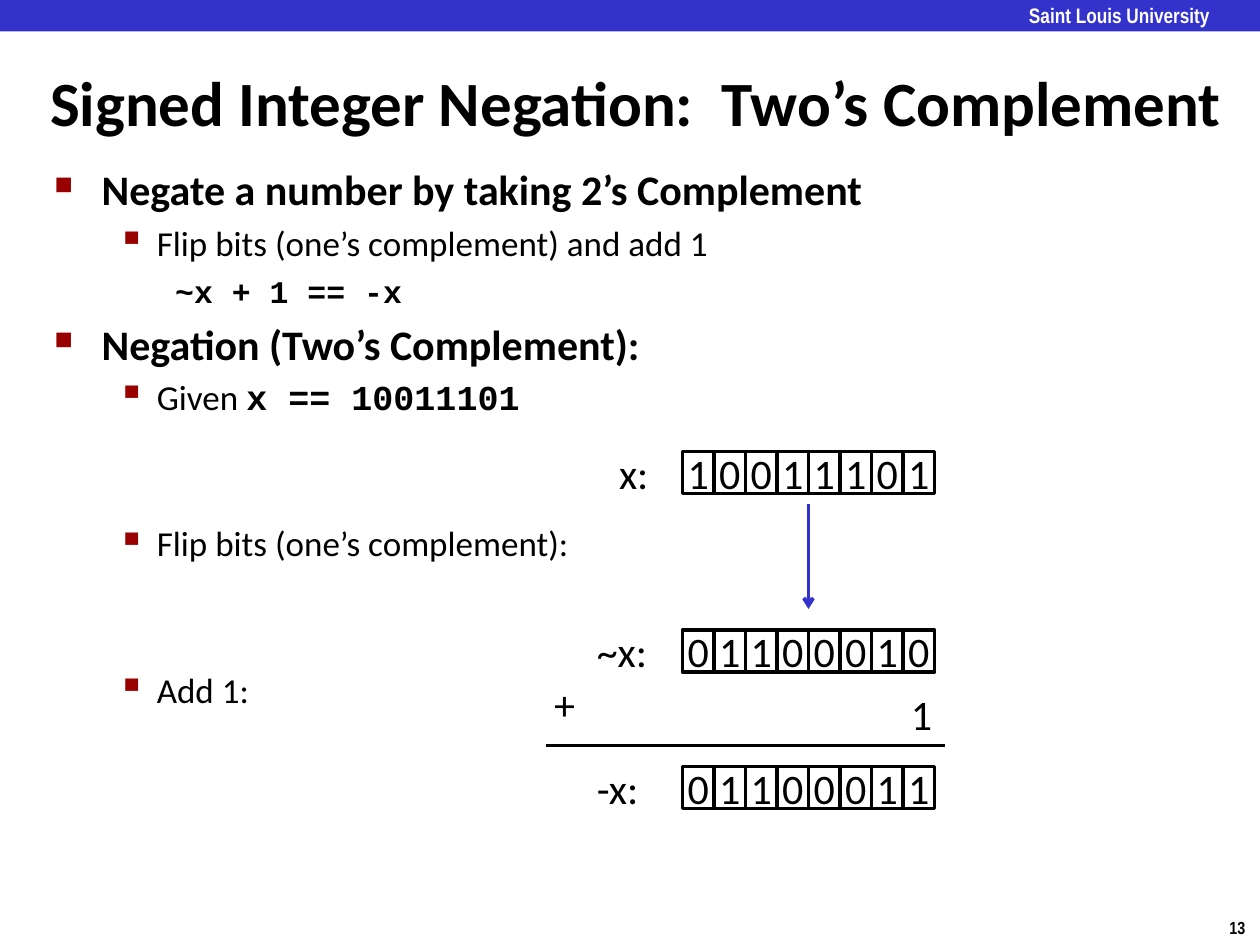
from dataclasses import dataclass

from lxml.etree import SubElement
from pptx import Presentation
from pptx.dml.color import RGBColor
from pptx.enum.shapes import MSO_CONNECTOR, MSO_SHAPE
from pptx.enum.text import MSO_ANCHOR, PP_ALIGN
from pptx.oxml.ns import qn
from pptx.util import Pt

BLACK, WHITE, BLUE, RED = "000000", "FFFFFF", "3333CC", "990000"
SANS, MONO, NARROW = "Calibri", "Courier New", "Arial Narrow"
CELL_LEFT, CELL_W, CELL_H = 390, 18, 24


@dataclass(frozen=True)
class Run:
    """A piece of text with one look."""
    text: str
    size: float = 24
    bold: bool = False
    font: str = SANS
    color: str = BLACK


@dataclass(frozen=True)
class Level:
    """Indents and bullet of an outline level, in points."""
    margin: float
    indent: float
    bullet: str = ""
    percent: int = 100


@dataclass(frozen=True)
class Item:
    """An outline paragraph and the space above it."""
    level: Level
    before: float
    runs: tuple[Run, ...]


@dataclass(frozen=True)
class Label:
    """A short free-standing text and its box."""
    run: Run
    left: float
    top: float
    width: float
    height: float
    inset: float = 7.2


@dataclass(frozen=True)
class BitRow:
    """A labelled row of bits."""
    name: str
    name_left: float
    bits: str
    top: float


HEAD = Level(27, -27, "■", 60)
SUB = Level(58.5, -22.5, "▪", 110)
CODE = Level(69, 0)

ITEMS = (
    Item(HEAD, 0, (Run("Negate a number by taking 2’s Complement", 24, True),)),
    Item(SUB, 4, (Run("Flip bits (one’s complement) and add 1", 20),)),
    Item(CODE, 5, (Run("~x + 1 == -x", 18, True, MONO),)),
    Item(HEAD, 4.8, (Run("Negation (Two’s Complement):", 24, True),)),
    Item(SUB, 4, (Run("Given ", 20), Run("x == 10011101", 20, True, MONO))),
    Item(SUB, 59.6, (Run("Flip bits (one’s complement):", 20),)),
    Item(SUB, 59.6, (Run("Add 1:", 20),)),
)

ROWS = (
    BitRow("x:", 346.7, "10011101", 258),
    BitRow("~x:", 334, "01100010", 360),
    BitRow("-x:", 334, "01100011", 438),
)

LABELS = (
    Label(Run("13", 10, True, NARROW), 695.5, 520.5, 24.5, 19.5),
    Label(Run("Saint Louis University", 12, True, NARROW, WHITE), 588, 1.5, 120, 14, 0),
    Label(Run("Signed Integer Negation:  Two’s Complement", 36, True), 21.6, 36, 698.4, 44),
    Label(Run("+"), 309.6, 384, 27, 36.5),
    Label(Run("1"), 513.4, 390, 27, 36),
)


def rgb(color: str) -> RGBColor:
    """Turn a hex string into a colour."""
    return RGBColor.from_string(color)


def add_run(p, run: Run) -> None:
    """Append a run to a paragraph."""
    r = p.add_run()
    r.text = run.text
    r.font.size = Pt(run.size)
    r.font.bold = run.bold
    r.font.name = run.font
    r.font.color.rgb = rgb(run.color)


def add_label(shapes, label: Label) -> None:
    """Draw a one-line text."""
    sp = shapes.add_textbox(Pt(label.left), Pt(label.top), Pt(label.width), Pt(label.height))
    tf = sp.text_frame
    tf.word_wrap = False
    tf.vertical_anchor = MSO_ANCHOR.MIDDLE
    tf.margin_left = tf.margin_right = Pt(label.inset)
    tf.margin_top = tf.margin_bottom = Pt(label.inset / 2)
    add_run(tf.paragraphs[0], label.run)


def add_rect(shapes, left: float, top: float, width: float, height: float, fill: str):
    """Draw a plain filled rectangle."""
    sp = shapes.add_shape(MSO_SHAPE.RECTANGLE, Pt(left), Pt(top), Pt(width), Pt(height))
    sp.shadow.inherit = False
    sp.fill.solid()
    sp.fill.fore_color.rgb = rgb(fill)
    sp.line.fill.background()
    return sp


def add_bit_row(s, row: BitRow) -> None:
    """Draw a row of bit cells grouped with its label."""
    shapes = s.shapes.add_group_shape().shapes
    for i, bit in enumerate(row.bits):
        sp = add_rect(shapes, CELL_LEFT + i * CELL_W, row.top, CELL_W, CELL_H, WHITE)
        sp.line.color.rgb = rgb(BLACK)
        sp.line.width = Pt(2)
        tf = sp.text_frame
        tf.word_wrap = False
        tf.vertical_anchor = MSO_ANCHOR.MIDDLE
        p = tf.paragraphs[0]
        p.alignment = PP_ALIGN.CENTER
        add_run(p, Run(bit))
    add_label(shapes, Label(Run(row.name), row.name_left, row.top - 6.2, 44, 36.5))


def add_line(s, x1: float, y1: float, x2: float, y2: float, color: str, arrow: bool = False) -> None:
    """Draw a straight line, with an arrowhead at its end if asked."""
    sp = s.shapes.add_connector(MSO_CONNECTOR.STRAIGHT, Pt(x1), Pt(y1), Pt(x2), Pt(y2))
    sp.line.color.rgb = rgb(color)
    sp.line.width = Pt(2)
    if arrow:
        SubElement(sp.line._get_or_add_ln(), qn("a:tailEnd"), type="arrow")
    SubElement(sp._element.spPr, qn("a:effectLst"))


def set_level(p, level: Level) -> None:
    """Give a paragraph its indents and bullet."""
    pPr = p._p.get_or_add_pPr()
    pPr.set("marL", str(Pt(level.margin)))
    pPr.set("indent", str(Pt(level.indent)))
    if level.bullet:
        SubElement(SubElement(pPr, qn("a:buClr")), qn("a:srgbClr"), val=RED)
        SubElement(pPr, qn("a:buSzPct"), val=str(level.percent * 1000))
        SubElement(pPr, qn("a:buChar"), char=level.bullet)
    else:
        SubElement(pPr, qn("a:buNone"))


def add_outline(s, items: tuple[Item, ...]) -> None:
    """Draw the bulleted body text."""
    tf = s.shapes.add_textbox(Pt(24), Pt(90), Pt(618.5), Pt(411)).text_frame
    tf.word_wrap = True
    for i, item in enumerate(items):
        p = tf.add_paragraph() if i else tf.paragraphs[0]
        set_level(p, item.level)
        p.space_before = Pt(item.before)
        for run in item.runs:
            add_run(p, run)


def main() -> None:
    """Build and save the slide."""
    prs = Presentation()
    prs.slide_width, prs.slide_height = Pt(720), Pt(540)
    s = prs.slides.add_slide(prs.slide_layouts[6])
    add_rect(s.shapes, 0, 0, 720, 18, BLUE)
    for label in LABELS:
        add_label(s.shapes, label)
    add_outline(s, ITEMS)
    for row in ROWS:
        add_bit_row(s, row)
    add_line(s, 312, 426, 540, 426, BLACK)
    add_line(s, 462, 288, 462, 348, BLUE, arrow=True)
    prs.save("out.pptx")


if __name__ == "__main__":
    main()
